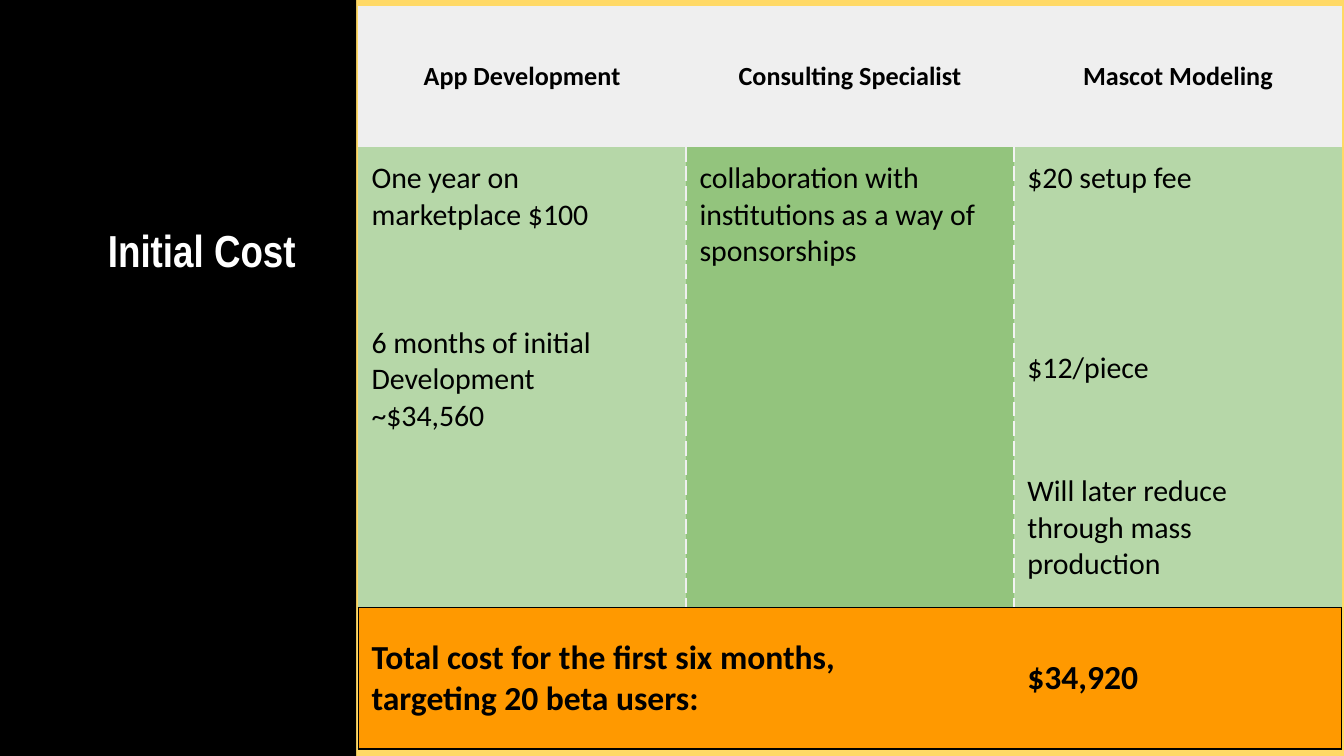
import lxml.etree
import pptx
import pptx.dml.color
import pptx.enum.shapes
import pptx.enum.text
import pptx.oxml.ns
import pptx.util

ALIGN = pptx.enum.text.PP_ALIGN
ANCHOR = pptx.enum.text.MSO_ANCHOR
COLORS = {
    "background": "FFD966", "black": "000000", "white": "FFFFFF",
    "header": "EFEFEF", "divider": "F3F3F3", "light": "B6D7A8",
    "green": "93C47D", "total": "FF9900",
}
PLAIN_TABLE_STYLE = "{2D5ABB26-0587-4C30-8999-92F81FD0307C}"


def color(name):
    return pptx.dml.color.RGBColor.from_string(COLORS[name])


def write(frame, text, size=16, font="Calibri", ink="black", bold=False, align=ALIGN.LEFT):
    """Fill a text frame, one paragraph for each line of text."""
    for index, line in enumerate(text.split("\n")):
        paragraph = frame.paragraphs[0] if index == 0 else frame.add_paragraph()
        paragraph.alignment = align
        run = paragraph.add_run()
        run.text = line
        run.font.size = pptx.util.Pt(size)
        run.font.name = font
        run.font.bold = bold
        run.font.color.rgb = color(ink)


def add_borders(cell, sides):
    """Draw thin borders; sides maps L, R, T or B to (color name, dash)."""
    properties = cell._tc.get_or_add_tcPr()
    lines = []
    for side in "LRTB":
        if side not in sides:
            continue
        name, dash = sides[side]
        line = lxml.etree.Element(pptx.oxml.ns.qn(f"a:ln{side}"), w=str(pptx.util.Pt(0.75)))
        fill = lxml.etree.SubElement(line, pptx.oxml.ns.qn("a:solidFill"))
        lxml.etree.SubElement(fill, pptx.oxml.ns.qn("a:srgbClr"), val=COLORS[name])
        lxml.etree.SubElement(line, pptx.oxml.ns.qn("a:prstDash"), val=dash)
        lines.append(line)
    properties[:0] = lines


class CostSlide:
    """Places elements by percentages of the slide's width and height."""

    def __init__(self, presentation):
        self.width = presentation.slide_width
        self.height = presentation.slide_height
        self.slide = presentation.slides.add_slide(presentation.slide_layouts[5])
        self.slide.background.fill.solid()
        self.slide.background.fill.fore_color.rgb = color("background")

    def across(self, percent):
        return round(self.width * percent / 100)

    def down(self, percent):
        return round(self.height * percent / 100)

    def box(self, left, top, width, height):
        return self.across(left), self.down(top), self.across(width), self.down(height)

    def panel(self, *area, fill):
        shape = self.slide.shapes.add_shape(
            pptx.enum.shapes.MSO_SHAPE.RECTANGLE, *self.box(*area))
        shape.shadow.inherit = False
        shape.fill.solid()
        shape.fill.fore_color.rgb = color(fill)
        shape.line.fill.background()
        # Keep the panel behind the title placeholder
        self.slide.shapes._spTree.insert(2, shape._element)

    def title(self, *area, text):
        title = self.slide.shapes.title
        title.left, title.top, title.width, title.height = self.box(*area)
        frame = title.text_frame
        frame.word_wrap = True
        frame.auto_size = pptx.enum.text.MSO_AUTO_SIZE.NONE
        frame.vertical_anchor = ANCHOR.MIDDLE
        frame.margin_left = frame.margin_right = frame.margin_top = pptx.util.Inches(0.1)
        frame.margin_bottom = pptx.util.Inches(0.47)  # lifts the title above centre
        write(frame, text, size=24, font="Arial Narrow", ink="white", bold=True,
              align=ALIGN.RIGHT)

    def table(self, left, top, column_width, columns, row_heights):
        table = self.slide.shapes.add_table(
            len(row_heights), columns,
            *self.box(left, top, column_width * columns, sum(row_heights))).table
        for column in table.columns:
            column.width = self.across(column_width)
        for row, height in zip(table.rows, row_heights):
            row.height = self.down(height)
        table.first_row = table.horz_banding = False
        table._tbl.tblPr.find(pptx.oxml.ns.qn("a:tableStyleId")).text = PLAIN_TABLE_STYLE
        return table

    def cell(self, cell, text="", fill="light", anchor=ANCHOR.MIDDLE, borders=None, **style):
        cell.margin_left = cell.margin_right = pptx.util.Inches(0.1)
        cell.margin_top = cell.margin_bottom = pptx.util.Inches(0.1)
        cell.vertical_anchor = anchor
        cell.fill.solid()
        cell.fill.fore_color.rgb = color(fill)
        add_borders(cell, borders or {})
        if text:
            write(cell.text_frame, text, **style)


def main():
    presentation = pptx.Presentation()
    presentation.slide_width = pptx.util.Inches(10)
    presentation.slide_height = presentation.slide_width * 9 // 16
    slide = CostSlide(presentation)
    slide.panel(0, 0, 26.5, 100, fill="black")
    slide.title(4.4, 21.87, 18.6, 28.8, text="Initial Cost")

    table = slide.table(26.65, 0.75, 24.4, 3, [18.67, 18.67, 21.16, 21.16, 18.67])
    table.cell(1, 1).merge(table.cell(3, 1))
    table.cell(4, 0).merge(table.cell(4, 1))

    headers = ["App Development", "Consulting Specialist", "Mascot Modeling"]
    for column, header in enumerate(headers):
        slide.cell(table.cell(0, column), header, fill="header", size=14, bold=True,
                   align=ALIGN.CENTER)

    left_divider = ("header", "lgDash")
    right_divider = ("divider", "lgDash")
    outline = ("black", "solid")
    body = [
        ("One year on marketplace $100", ANCHOR.TOP, "$20 setup fee", ANCHOR.TOP),
        ("6 months of initial Development\n~$34,560", ANCHOR.BOTTOM,
         "$12/piece", ANCHOR.MIDDLE),
        ("", ANCHOR.TOP, "Will later reduce through mass production", ANCHOR.MIDDLE),
    ]
    for row, (app, app_anchor, mascot, mascot_anchor) in enumerate(body, start=1):
        bottom = {"B": outline} if row == len(body) else {}
        slide.cell(table.cell(row, 0), app, anchor=app_anchor,
                   borders={"R": left_divider, **bottom})
        slide.cell(table.cell(row, 2), mascot, anchor=mascot_anchor,
                   borders={"L": right_divider, **bottom})
    slide.cell(table.cell(1, 1), "collaboration with institutions as a way of sponsorships",
               fill="green", anchor=ANCHOR.TOP,
               borders={"L": left_divider, "R": right_divider, "B": outline})

    totals = [
        (0, "L", "Total cost for the first six months,\ntargeting 20 beta users:"),
        (2, "R", "$34,920"),
    ]
    for column, side, text in totals:
        slide.cell(table.cell(4, column), text, fill="total", size=18, bold=True,
                   borders=dict.fromkeys([side, "T", "B"], outline))

    presentation.save("out.pptx")


if __name__ == "__main__":
    main()
